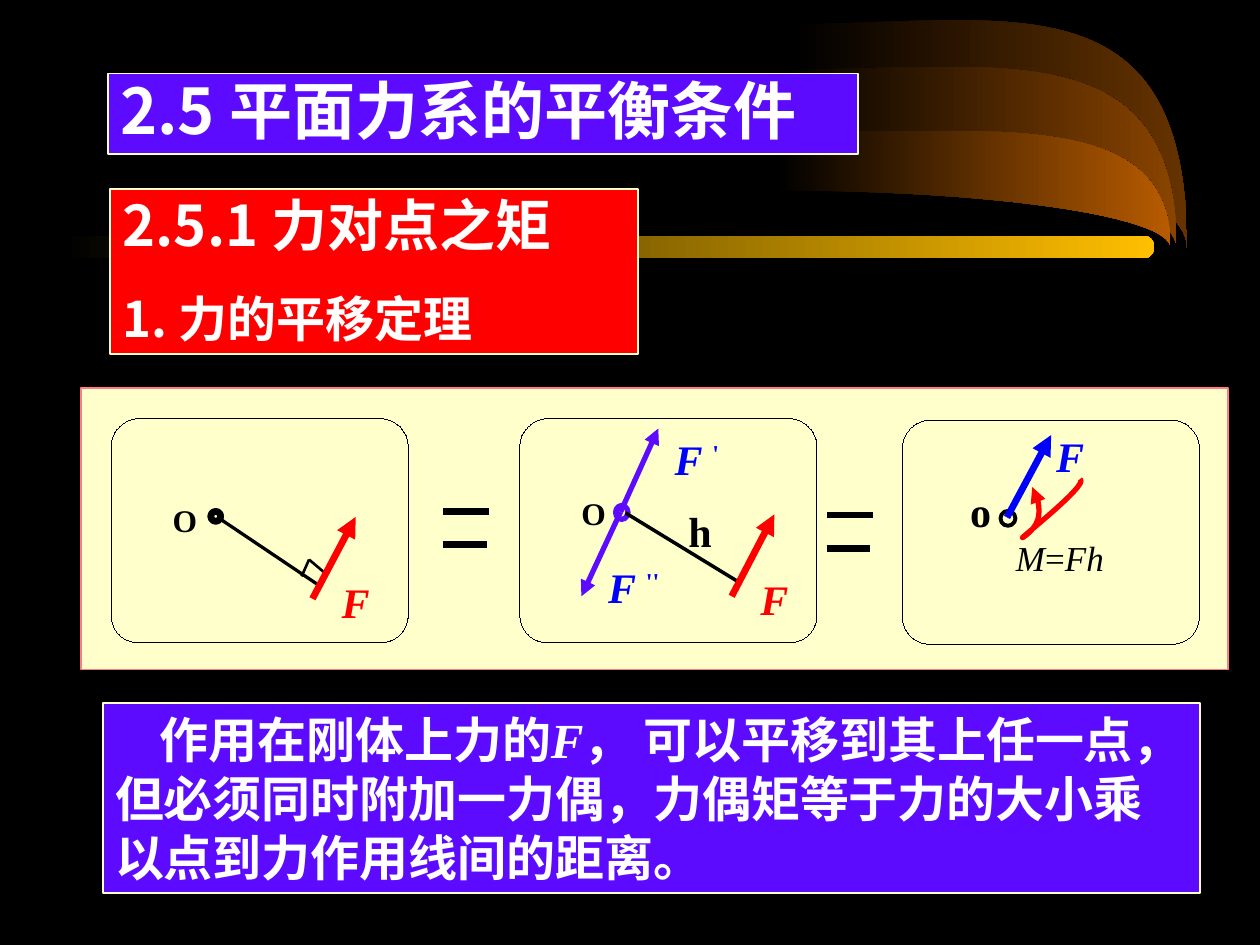
from lxml import etree
from pptx import Presentation
from pptx import util as u
from pptx.dml.color import RGBColor
from pptx.enum import shapes, text
from pptx.oxml import ns

BLACK = RGBColor(0, 0, 0)
WHITE = RGBColor(255, 255, 255)
CREAM = RGBColor(0xFF, 0xFF, 0xCC)
PINK = RGBColor(0xFF, 0x7C, 0x80)
VIOLET = RGBColor(0x5C, 0x0B, 0xFF)
RED = RGBColor(255, 0, 0)
BLUE = RGBColor(0, 0, 255)
GOLD = RGBColor(0xFF, 0xBF, 0)
BROWNS = [RGBColor(0x66, 0x33, 0), RGBColor(0x89, 0x44, 0), RGBColor(0xB7, 0x5B, 0)]
SANS, SERIF = "Noto Sans CJK SC", "Times New Roman"


def child(parent, tag, **attributes):
    """Append a DrawingML element."""
    return etree.SubElement(parent, ns.qn(tag), attributes)


def set_font(font, name, size, color, bold=True, italic=False):
    """Set every font property used on the slide."""
    font.name, font.size, font.bold, font.italic = name, u.Pt(size), bold, italic
    font.color.rgb = color
    child(font._element, "a:ea", typeface=name)


def style(item, fill=None, line=None, width=1):
    """Set the fill and outline of a shape."""
    if fill is None:
        item.fill.background()
    else:
        item.fill.solid()
        item.fill.fore_color.rgb = fill
    if line is None:
        item.line.fill.background()
    else:
        item.line.color.rgb = line
        item.line._get_or_add_ln().set("w", str(u.Pt(width)))


def add_shape(page, kind, box, fill=None, line=None, width=1):
    """Add a preset shape in a box given in centimetres."""
    item = page.shapes.add_shape(kind, *map(u.Cm, box))
    item.shadow.inherit = False
    style(item, fill, line, width)
    return item


def fade(item, color):
    """Fill a shape from black on the left to a colour on the right."""
    item.fill.gradient()
    item.fill.gradient_angle = 0
    for stop, shade in zip(item.fill.gradient_stops, (BLACK, color)):
        stop.color.rgb = shade
    item.line.fill.background()


def add_curve(page, box, points, close):
    """Add cubic curves through a start and triples of points, framed by a box."""
    places = [(u.Cm(x), u.Cm(y)) for x, y in points]
    builder = page.shapes.build_freeform(*places[0])
    builder.add_line_segments(places[1:], close=close)
    item = builder.convert_to_shape()
    item.shadow.inherit = False
    left, top, width, height = map(u.Cm, box)
    route = item._element.find(".//" + ns.qn("a:path"))
    route.set("w", str(width))
    route.set("h", str(height))
    for point in route.iter(ns.qn("a:pt")):
        point.set("x", str(int(point.get("x")) + item.left - left))
        point.set("y", str(int(point.get("y")) + item.top - top))
    item.left, item.top, item.width, item.height = left, top, width, height
    steps = route.findall(ns.qn("a:lnTo"))
    for first in range(0, len(points) - 1, 3):
        curve = etree.Element(ns.qn("a:cubicBezTo"))
        steps[first].addprevious(curve)
        for step in steps[first:first + 3]:
            curve.append(step[0])
            route.remove(step)
    return item


def add_line(page, box, start, end, color, width, arrow=False):
    """Add a line between points relative to a box."""
    left, top = box[:2]
    item = page.shapes.add_connector(
        shapes.MSO_CONNECTOR.STRAIGHT, u.Cm(left + start[0]), u.Cm(top + start[1]),
        u.Cm(left + end[0]), u.Cm(top + end[1]))
    item.line.color.rgb = color
    item.line.width = u.Pt(width)
    if arrow:
        child(item.line._get_or_add_ln(), "a:tailEnd", type="triangle")
    child(item._element.spPr, "a:effectLst")


def add_label(page, box, at, width, words, color, size=24, italic=False, mark=""):
    """Add a serif label, with an optional raised mark."""
    label = page.shapes.add_textbox(u.Cm(box[0] + at[0]), u.Cm(box[1] + at[1]),
                                    u.Cm(width), u.Pt(size * 1.2))
    frame = label.text_frame
    frame.margin_left = frame.margin_top = frame.margin_right = frame.margin_bottom = 0
    frame.word_wrap = True
    para = frame.paragraphs[0]
    set_font(para.font, SERIF, size, color, italic=italic)
    para.add_run().text = words
    if mark:
        span = para.add_run()
        span.text = mark
        span.font.italic = False
        span.font._element.set("baseline", "30000")
    return para


def add_ring(page, box, at, size, color, width):
    """Draw a pivot point relative to a box."""
    add_shape(page, shapes.MSO_SHAPE.OVAL, (box[0] + at[0], box[1] + at[1], *size),
              line=color, width=width)


def add_panel(page, box):
    """Draw the rounded frame of one diagram."""
    frame = add_shape(page, shapes.MSO_SHAPE.ROUNDED_RECTANGLE, box, line=BLACK, width=0)
    frame.adjustments[0] = 0.125


def decorate(page, base):
    """Draw the fading ribbons and the golden bar above a base line."""
    ribbons = [(15.98, 0.48, 2.77, 4.45), (15.77, 1.4, 3.23, 3.53), (15.65, 2.67, 3.84, 2.31)]
    for (left, top, bottom, height), color in zip(ribbons, BROWNS):
        right, bend = left + 7.95, left + 4.39
        rise = 0.45 * (base - bottom)
        points = [(left, bottom), (bend, bottom), (right, bottom + rise), (right, base),
                  (right, top - rise), (bend, top), (left, top)]
        fade(add_curve(page, (left, bottom, 7.95, height), points, True), color)
    bar = add_shape(page, shapes.MSO_SHAPE.ROUNDED_RECTANGLE, (1.27, 4.75, 22, 0.46))
    bar.adjustments[0] = 0.5
    fade(bar, GOLD)


def place_heading(page, holder, box, fill, lines):
    """Format a placeholder as a filled heading; lines hold words, size and spacing."""
    page.shapes._spTree.append(holder._element)
    holder.left, holder.top, holder.width, holder.height = map(u.Cm, box)
    style(holder, fill, CREAM)
    frame = holder.text_frame
    frame.word_wrap = True
    frame.auto_size = text.MSO_AUTO_SIZE.NONE
    frame.vertical_anchor = text.MSO_ANCHOR.TOP
    frame.text = "\n".join(words for words, _, _ in lines)
    for para, (_, size, spacing) in zip(frame.paragraphs, lines):
        para.alignment = text.PP_ALIGN.LEFT
        para.line_spacing, para.space_before = spacing, u.Pt(0)
        props = para._p.get_or_add_pPr()
        props.set("marL", "0")
        props.set("indent", "0")
        child(props, "a:buNone")
        set_font(para.font, SANS, size, WHITE)


def draw_single_force(page, box):
    """Draw the force acting at a distance from O."""
    add_panel(page, box)
    add_ring(page, box, (2.01, 1.87), (0.2, 0.2), BLACK, 3.88)
    add_label(page, box, (1.24, 1.66), 0.51, "O", BLACK, 18)
    add_label(page, box, (4.65, 3.18), 0.56, "F", RED, italic=True)
    add_line(page, box, (2.21, 2.03), (4.22, 3.38), BLACK, 1.87)
    add_line(page, box, (3.84, 3.18), (3.99, 2.84), BLACK, 1.5)
    add_line(page, box, (3.99, 2.84), (4.32, 3.12), BLACK, 1.5)
    add_line(page, box, (4.06, 3.63), (4.93, 1.98), RED, 3.88, True)


def draw_balanced_pair(page, box):
    """Draw the force with a balanced pair added at O."""
    add_panel(page, box)
    add_ring(page, box, (1.93, 1.75), (0.25, 0.28), VIOLET, 3)
    for tip in ((2.79, 0.2), (1.24, 3.58)):
        add_line(page, box, (2.03, 1.88), tip, VIOLET, 3, True)
    add_label(page, box, (1.24, 1.52), 0.51, "O", BLACK, 18)
    add_label(page, box, (3.12, 0.3), 0.95, "F ", BLUE, italic=True, mark="'")
    add_label(page, box, (1.78, 2.87), 1.4, "F ", BLUE, italic=True, mark="''")
    add_line(page, box, (2.13, 1.9), (4.39, 3.28), BLACK, 2)
    add_label(page, box, (3.4, 1.75), 0.48, "h", BLACK)
    add_label(page, box, (4.85, 3.12), 0.56, "F", RED, italic=True)
    add_line(page, box, (4.27, 3.58), (5.13, 1.93), RED, 3.88, True)


def draw_force_and_couple(page, box):
    """Draw the moved force with its couple."""
    add_panel(page, box)
    add_ring(page, box, (1.98, 1.83), (0.3, 0.3), BLACK, 2.25)
    points = [(2.62, 1.35), (2.84, 1.68), (2.77, 2.13), (2.44, 2.36),
              (2.24, 2.49), (3.81, 1.27), (3.58, 1.19)]
    turn = add_curve(page, (box[0] + 1.63, box[1] + 1.65, 1.32, 0.74),
                     [(box[0] + x, box[1] + y) for x, y in points], False)
    style(turn, line=RED, width=3)
    child(turn.line._get_or_add_ln(), "a:headEnd", type="triangle")
    add_label(page, box, (1.37, 1.32), 0.48, "o", BLACK)
    moment = add_label(page, box, (2.29, 2.34), 2.29, "M", BLACK, 20, True)
    moment.font.bold = False
    for words, italic in (("=", False), ("Fh", True)):
        span = moment.add_run()
        span.text, span.font.italic = words, italic
    add_line(page, box, (2.11, 1.96), (3, 0.3), BLUE, 3.88, True)
    add_label(page, box, (3.1, 0.2), 1.12, "F", BLUE, italic=True)


def draw_diagrams(page, box):
    """Draw the three equivalent diagrams joined by equals signs."""
    add_shape(page, shapes.MSO_SHAPE.RECTANGLE, box, CREAM, PINK)
    steps = [(0.6, 0.61, draw_single_force), (8.84, 0.61, draw_balanced_pair),
             (16.55, 0.64, draw_force_and_couple)]
    for across, down, draw in steps:
        draw(page, (box[0] + across, box[1] + down, 5.99, 4.52))
    for sign in ((8.94, 10.31), (16.67, 10.38)):
        for drop, length in ((0, 0.92), (0.67, 0.87)):
            add_line(page, sign, (0, drop), (length, drop), BLACK, 3.88)


def state_theorem(page, box):
    """Write the theorem in a filled box."""
    panel = add_shape(page, shapes.MSO_SHAPE.RECTANGLE, box, VIOLET, CREAM)
    frame = panel.text_frame
    frame.word_wrap = True
    frame.vertical_anchor = text.MSO_ANCHOR.TOP
    para = frame.paragraphs[0]
    para.alignment = text.PP_ALIGN.LEFT
    para._p.get_or_add_pPr().set("hangingPunct", "0")
    set_font(para.font, SANS, 28, WHITE)
    parts = ["    作用在刚体上力的", "F",
             "， 可以平移到其上任一点，但必须同时附加一力偶，力偶矩等于力的大小乘以点到力作用线间的距离。"]
    for words in parts:
        span = para.add_run()
        span.text = words
        if words == "F":
            span.font.name, span.font.italic = SERIF, True


def main():
    """Build and save the deck."""
    deck = Presentation()
    deck.slide_width, deck.slide_height = u.Cm(25.4), u.Cm(19.05)
    page = deck.slides.add_slide(deck.slide_layouts[1])
    page.background.fill.solid()
    page.background.fill.fore_color.rgb = BLACK
    decorate(page, 5)
    place_heading(page, page.shapes.title, (2.17, 1.48, 15.13, 1.63), VIOLET,
                  [("2.5 平面力系的平衡条件", 36, 0.9)])
    state_theorem(page, (2.07, 14.18, 22.12, 3.82))
    place_heading(page, page.placeholders[1], (2.22, 3.81, 10.64, 3.33), RED,
                  [("2.5.1 力对点之矩", 32, 0.95), ("1. 力的平移定理", 28, 1.5)])
    draw_diagrams(page, (1.64, 7.83, 23.12, 5.67))
    deck.save("out.pptx")


if __name__ == "__main__":
    main()
